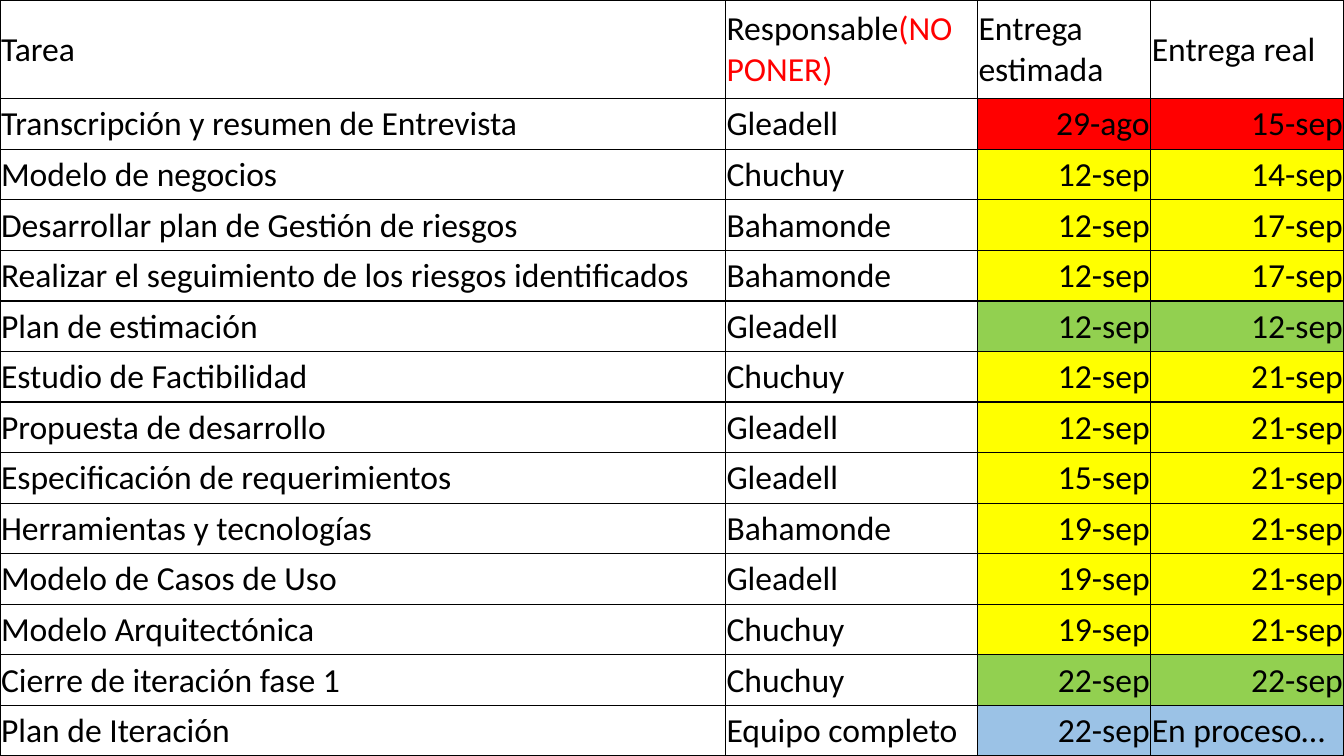
from lxml import etree
from pptx import Presentation
from pptx.dml.color import RGBColor
from pptx.enum.text import MSO_ANCHOR, PP_ALIGN
from pptx.oxml.ns import qn
from pptx.util import Pt

PX = 9525
SLIDE_WIDTH, SLIDE_HEIGHT = 1280, 720
HEADER_HEIGHT = 94
COLUMN_WIDTHS = [691, 240, 165, 184]
BORDER_SIDES = ["lnL", "lnR", "lnT", "lnB"]
FONT_NAME, FONT_SIZE = "Calibri", Pt(24)
LEFT, RIGHT = PP_ALIGN.LEFT, PP_ALIGN.RIGHT
MIDDLE = MSO_ANCHOR.MIDDLE

COLORS = {
    "text": "000000",
    "border": "000000",
    "warning": "FF0000",
    "very late": "FF0000",
    "late": "FFFF00",
    "on time": "92D050",
    "in progress": "9BC2E6",
}

HEADERS = [
    [("Tarea", "text")],
    [("Responsable", "text"), ("(NO PONER)", "warning")],
    [("Entrega estimada", "text")],
    [("Entrega real", "text")],
]

TASKS = [
    ("Transcripción y resumen de Entrevista", "Gleadell", "29-ago", "15-sep", "very late"),
    ("Modelo de negocios", "Chuchuy", "12-sep", "14-sep", "late"),
    ("Desarrollar plan de Gestión de riesgos", "Bahamonde", "12-sep", "17-sep", "late"),
    ("Realizar el seguimiento de los riesgos identificados", "Bahamonde",
     "12-sep", "17-sep", "late"),
    ("Plan de estimación", "Gleadell", "12-sep", "12-sep", "on time"),
    ("Estudio de Factibilidad", "Chuchuy", "12-sep", "21-sep", "late"),
    ("Propuesta de desarrollo", "Gleadell", "12-sep", "21-sep", "late"),
    ("Especificación de requerimientos", "Gleadell", "15-sep", "21-sep", "late"),
    ("Herramientas y tecnologías", "Bahamonde", "19-sep", "21-sep", "late"),
    ("Modelo de Casos de Uso", "Gleadell", "19-sep", "21-sep", "late"),
    ("Modelo Arquitectónica", "Chuchuy", "19-sep", "21-sep", "late"),
    ("Cierre de iteración fase 1", "Chuchuy", "22-sep", "22-sep", "on time"),
    ("Plan de Iteración", "Equipo completo", "22-sep", "En proceso…", "in progress"),
]


def rgb(color):
    return RGBColor.from_string(COLORS[color])


def add_borders(cell):
    properties = cell._tc.get_or_add_tcPr()
    for side in BORDER_SIDES:
        line = etree.SubElement(properties, qn(f"a:{side}"), w=str(Pt(1)))
        fill = etree.SubElement(line, qn("a:solidFill"))
        etree.SubElement(fill, qn("a:srgbClr"), val=COLORS["border"])


def fill_cell(cell, runs, alignment=LEFT, fill_color=None):
    """Write (text, color) runs into a bordered cell."""
    add_borders(cell)
    if fill_color:
        cell.fill.solid()
        cell.fill.fore_color.rgb = rgb(fill_color)
    else:
        cell.fill.background()
    cell.vertical_anchor = MIDDLE
    cell.margin_left = cell.margin_right = cell.margin_top = PX
    cell.margin_bottom = 0
    paragraph = cell.text_frame.paragraphs[0]
    paragraph.alignment = alignment
    for text, color in runs:
        run = paragraph.add_run()
        run.text = text
        run.font.name = FONT_NAME
        run.font.size = FONT_SIZE
        run.font.color.rgb = rgb(color)


def add_task_table(slide):
    table = slide.shapes.add_table(
        len(TASKS) + 1, len(HEADERS), 0, 0, SLIDE_WIDTH * PX, SLIDE_HEIGHT * PX
    ).table
    table.first_row = table.horz_banding = False
    for column, width in zip(table.columns, COLUMN_WIDTHS):
        column.width = width * PX
    table.rows[0].height = HEADER_HEIGHT * PX
    for index, runs in enumerate(HEADERS):
        fill_cell(table.cell(0, index), runs)

    task_height = (SLIDE_HEIGHT - HEADER_HEIGHT) * PX // len(TASKS)
    for row, (*texts, status) in enumerate(TASKS, start=1):
        table.rows[row].height = task_height
        for column, text in enumerate(texts):
            is_delivery = column >= 2
            is_date = is_delivery and text[0].isdigit()
            fill_cell(
                table.cell(row, column),
                [(text, "text")],
                RIGHT if is_date else LEFT,
                status if is_delivery else None,
            )


def main():
    presentation = Presentation()
    presentation.slide_width = SLIDE_WIDTH * PX
    presentation.slide_height = SLIDE_HEIGHT * PX
    blank_layout = presentation.slide_layouts[6]
    slide = presentation.slides.add_slide(blank_layout)
    add_task_table(slide)
    presentation.save("out.pptx")


if __name__ == "__main__":
    main()
